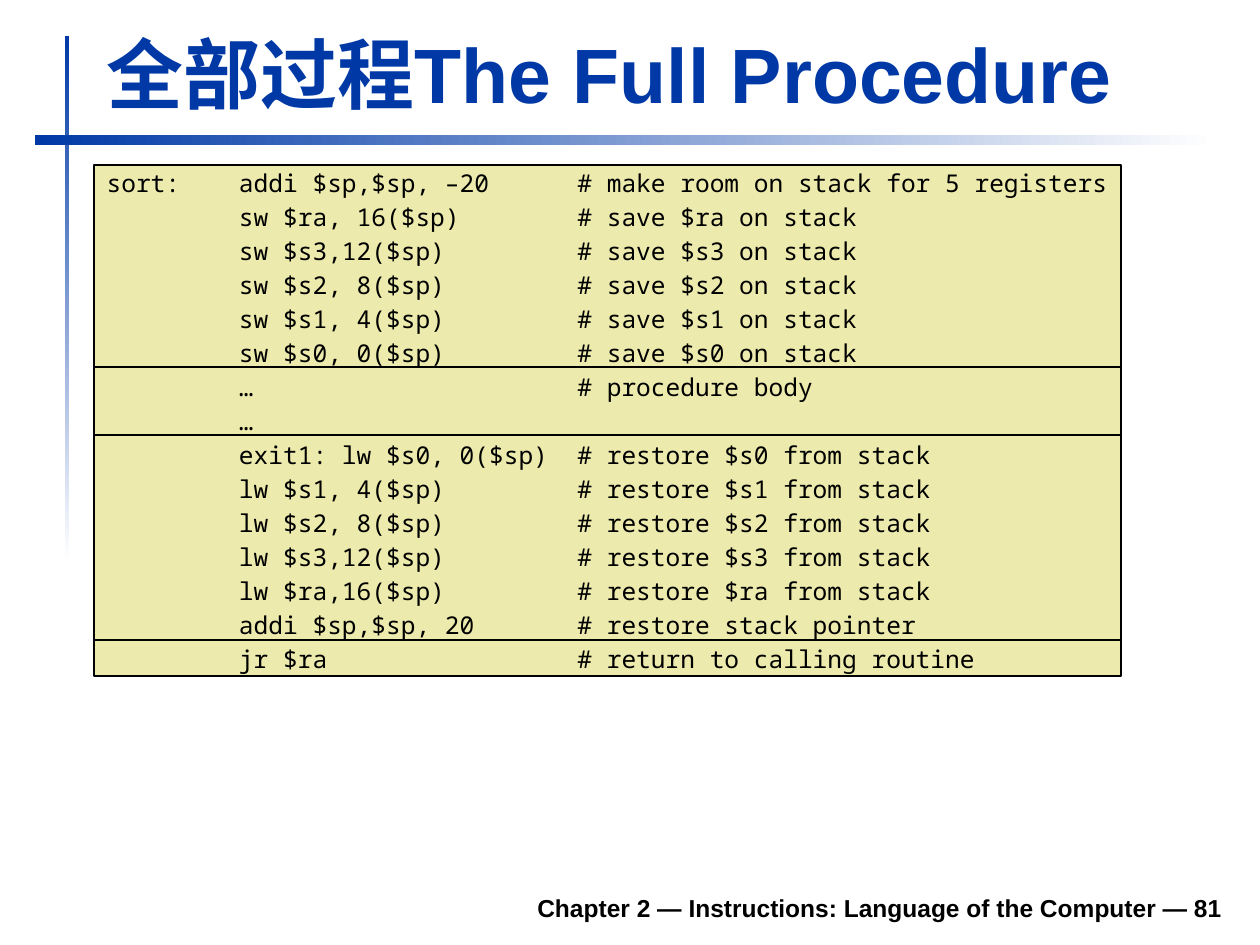
"""Build the slide showing the full sort procedure in MIPS assembly."""
from itertools import pairwise

from pptx import Presentation
from pptx.dml.color import RGBColor
from pptx.enum.shapes import MSO_SHAPE
from pptx.enum.text import MSO_ANCHOR as ANCHOR, MSO_AUTO_SIZE as AUTO_SIZE, PP_ALIGN as ALIGN
from pptx.oxml.ns import qn
from pptx.util import Pt
from lxml.etree import SubElement

PX = 914400 // 126
COLORS = {"blue": "0039A6", "white": "FFFFFF", "khaki": "ECEAAC", "black": "000000"}
CODE = """\
sort:    addi $sp,$sp, –20      # make room on stack for 5 registers
         sw $ra, 16($sp)        # save $ra on stack
         sw $s3,12($sp)         # save $s3 on stack
         sw $s2, 8($sp)         # save $s2 on stack
         sw $s1, 4($sp)         # save $s1 on stack
         sw $s0, 0($sp)         # save $s0 on stack
         …                      # procedure body
         …
         exit1: lw $s0, 0($sp)  # restore $s0 from stack
         lw $s1, 4($sp)         # restore $s1 from stack
         lw $s2, 8($sp)         # restore $s2 from stack
         lw $s3,12($sp)         # restore $s3 from stack
         lw $ra,16($sp)         # restore $ra from stack
         addi $sp,$sp, 20       # restore stack pointer
         jr $ra                 # return to calling routine"""


def add_rectangle(left, top, width, height):
    shape = slide.shapes.add_shape(
        MSO_SHAPE.RECTANGLE, left * PX, top * PX, width * PX, height * PX)
    shape.shadow.inherit = False
    return shape


def format_text(shape, box, color, anchor, alignment, **font_values):
    for name, value in zip(("left", "top", "width", "height"), box):
        setattr(shape, name, value * PX)
    frame = shape.text_frame
    frame.word_wrap = True
    frame.auto_size = AUTO_SIZE.NONE
    frame.vertical_anchor = anchor
    for paragraph in frame.paragraphs:
        paragraph.alignment = alignment
        for run in paragraph.runs:
            run.font.color.rgb = RGBColor.from_string(COLORS[color])
            for name, value in font_values.items():
                setattr(run.font, name, value)


presentation = Presentation()
presentation.slide_width = 1260 * PX
presentation.slide_height = 945 * PX
slide = presentation.slides.add_slide(presentation.slide_layouts[1])
title, body = slide.placeholders

for box, angle in (((65, 36, 4, 525), 270), ((35, 135, 1180, 10), 0)):
    bar = add_rectangle(*box)
    bar.line.fill.background()
    bar.fill.gradient()
    bar.fill.gradient_angle = angle
    for stop, color in zip(bar.fill.gradient_stops, ("blue", "white")):
        stop.color.rgb = RGBColor.from_string(COLORS[color])

for top, bottom in pairwise((165, 367, 435, 640, 676)):
    block = add_rectangle(94, top, 1027, bottom - top)
    block.fill.solid()
    block.fill.fore_color.rgb = RGBColor.from_string(COLORS["khaki"])
    block.line.color.rgb = RGBColor.from_string(COLORS["black"])
    block.line.width = Pt(0.75)

title.text_frame.text = "全部过程The Full Procedure"
format_text(title, (94, 20, 1138, 105), "blue", ANCHOR.BOTTOM, ALIGN.LEFT,
            name="Arial", size=Pt(44), bold=True)

body.text_frame.text = CODE
for number, paragraph in enumerate(body.text_frame.paragraphs):
    properties = paragraph._p.get_or_add_pPr()
    properties.set("marL", "0")
    properties.set("indent", "0")
    SubElement(properties, qn("a:buNone"))
    paragraph.space_before = Pt(2.6 if number else 0)
format_text(body, (94, 162, 1139, 684), "black", ANCHOR.TOP, ALIGN.LEFT,
            name="Noto Sans Mono", size=Pt(14))

footer = slide.shapes.add_textbox(0, 0, PX, PX)
footer.text_frame.text = "Chapter 2 — Instructions: Language of the Computer — 81"
format_text(footer, (233, 880, 1002, 49), "black", ANCHOR.BOTTOM, ALIGN.RIGHT,
            name="Arial", size=Pt(14), bold=True)

for placeholder in (body, title):
    slide.shapes.element.append(placeholder.element)

presentation.save("out.pptx")
